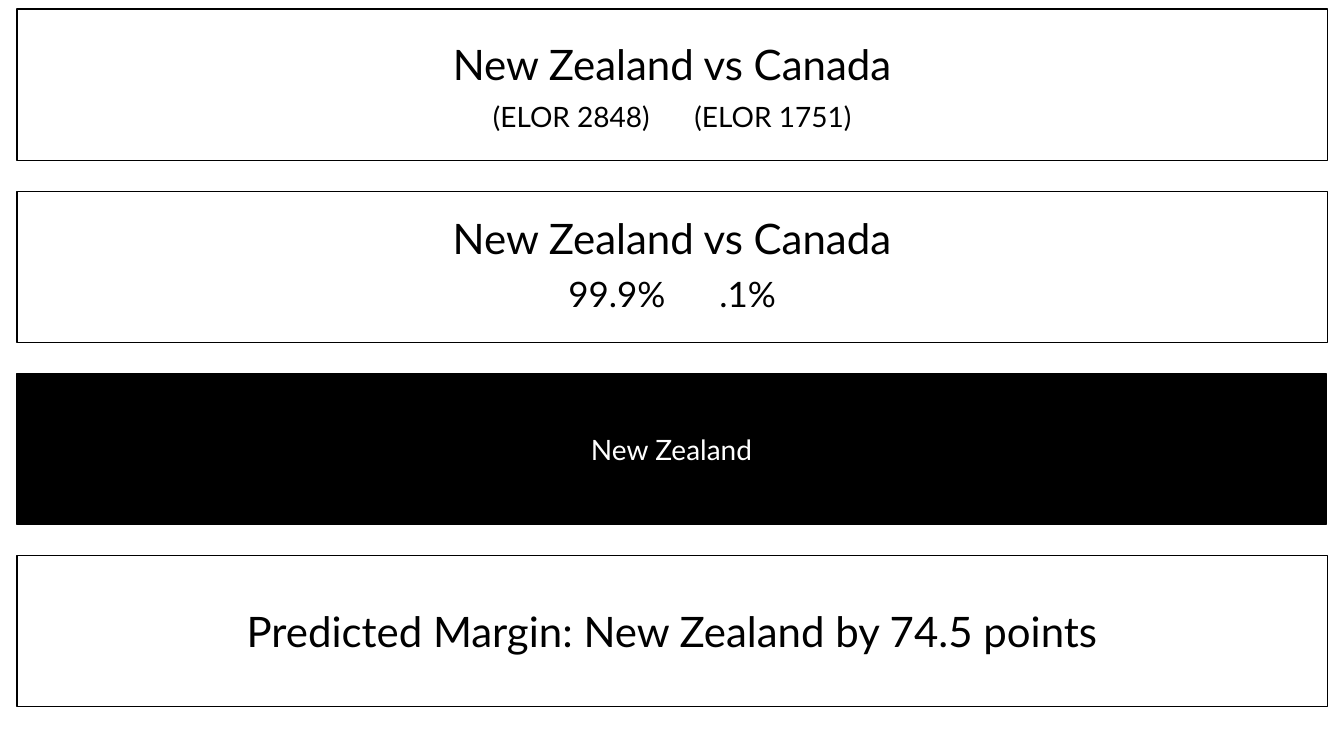
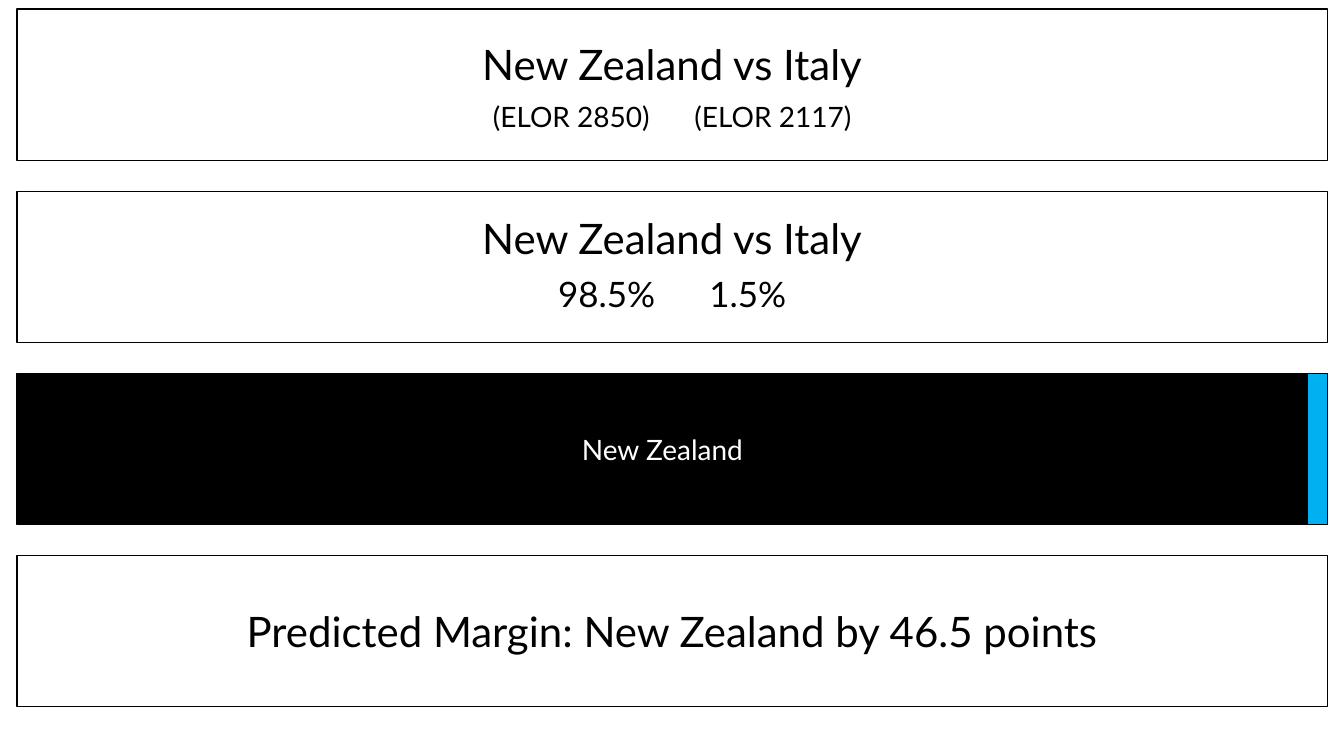
"""Builds match prediction slides with ratings, win chances and margin."""
import pptx
import pptx.dml.color
import pptx.enum.shapes
import pptx.enum.text
import pptx.util

Cm, Pt = pptx.util.Cm, pptx.util.Pt
RGBColor = pptx.dml.color.RGBColor

BLACK = RGBColor(0x00, 0x00, 0x00)
WHITE = RGBColor(0xFF, 0xFF, 0xFF)
AZURE = RGBColor(0x00, 0xB0, 0xF0)
FONT = "Lato"
LARGE, MEDIUM, SMALL = 30, 25, 20

FAVOURITE = "New Zealand"
MATCHES = [
    {"opponent": "Canada", "ratings": (2848, 1751), "chances": ("99.9%", ".1%"),
     "margin": 74.5, "opponent_fill": None},
    {"opponent": "Italy", "ratings": (2850, 2117), "chances": ("98.5%", "1.5%"),
     "margin": 46.5, "opponent_fill": AZURE},
]

SLIDE_W, SLIDE_H = 33.87, 19.05
BAND_LEFT, BAND_W, BAND_H = 0.43, 33.02, 3.81
BAND_TOPS = [0.23 + 4.59 * i for i in range(4)]
RATINGS_TOP, CHANCES_TOP, BAR_TOP, MARGIN_TOP = BAND_TOPS


def add_band(slide, left, top, width, fill=None):
    sp = slide.shapes.add_shape(pptx.enum.shapes.MSO_SHAPE.RECTANGLE,
                                Cm(left), Cm(top), Cm(width), Cm(BAND_H))
    sp.shadow.inherit = False
    if fill is None:
        sp.fill.background()
    else:
        sp.fill.solid()
        sp.fill.fore_color.rgb = fill
    sp.line.color.rgb = BLACK
    sp.line.width = Pt(1)


def format_line(sp, text, top, size, width=BAND_W, color=BLACK):
    sp.left, sp.top = Cm(BAND_LEFT), Cm(top)
    sp.width, sp.height = Cm(width), Pt(size * 1.2 + 7.2)
    tf = sp.text_frame
    tf.word_wrap = True
    tf.auto_size = pptx.enum.text.MSO_AUTO_SIZE.SHAPE_TO_FIT_TEXT
    tf.vertical_anchor = pptx.enum.text.MSO_ANCHOR.TOP
    tf.text = text
    p = tf.paragraphs[0]
    p.alignment = pptx.enum.text.PP_ALIGN.CENTER
    p.line_spacing = 1.0
    p.font.name = FONT
    p.font.size = Pt(size)
    p.font.color.rgb = color


def add_line(slide, *args, **kwargs):
    sp = slide.shapes.add_textbox(0, 0, 0, 0)
    format_line(sp, *args, **kwargs)


def add_match(prs, match):
    slide = prs.slides.add_slide(prs.slide_layouts[5])
    pairing = f"{FAVOURITE} vs {match['opponent']}"
    ratings = "\t".join(f"(ELOR {rating})" for rating in match["ratings"])
    favourite_w = BAND_W * float(match["chances"][0].rstrip("%")) / 100

    for top in (RATINGS_TOP, CHANCES_TOP, MARGIN_TOP):
        add_band(slide, BAND_LEFT, top, BAND_W)
    add_band(slide, BAND_LEFT, BAR_TOP, favourite_w, BLACK)
    if match["opponent_fill"] is not None:
        add_band(slide, BAND_LEFT + favourite_w, BAR_TOP,
                 BAND_W - favourite_w, match["opponent_fill"])

    format_line(slide.shapes.title, pairing, RATINGS_TOP + 0.61, LARGE)
    add_line(slide, ratings, RATINGS_TOP + 2.16, SMALL)
    add_line(slide, pairing, CHANCES_TOP + 0.41, LARGE)
    add_line(slide, "\t\t".join(match["chances"]), CHANCES_TOP + 1.91, MEDIUM)
    add_line(slide, FAVOURITE, BAR_TOP + 1.36, SMALL, favourite_w, WHITE)
    add_line(slide, f"Predicted Margin: {FAVOURITE} by {match['margin']} points",
             MARGIN_TOP + 1.14, LARGE)


def main():
    prs = pptx.Presentation()
    prs.slide_width, prs.slide_height = Cm(SLIDE_W), Cm(SLIDE_H)
    for match in MATCHES:
        add_match(prs, match)
    prs.save("out.pptx")


if __name__ == "__main__":
    main()
